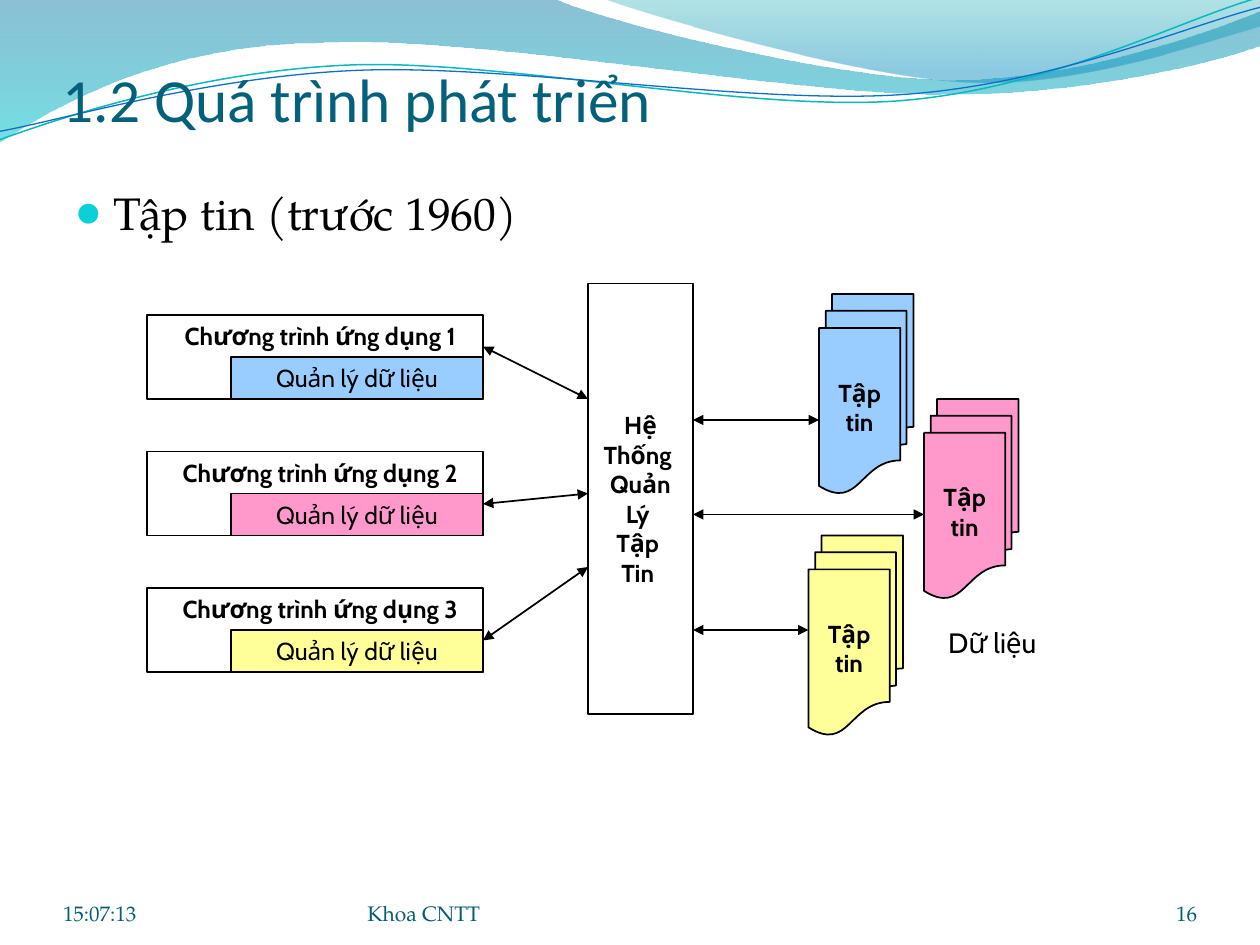
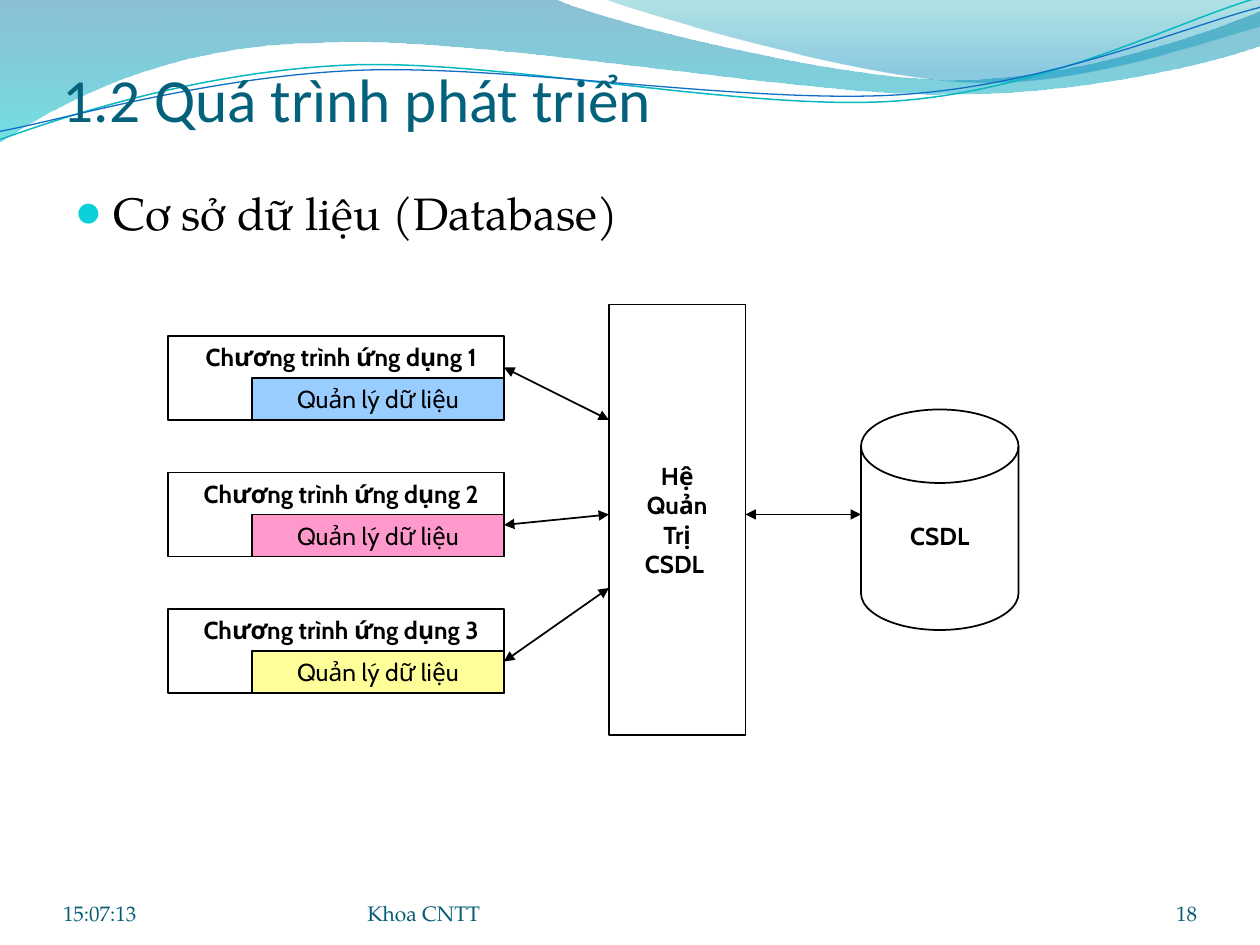
from dataclasses import dataclass
from math import cos, radians, sin
from typing import NamedTuple

from lxml.etree import SubElement
from pptx import Presentation
from pptx.dml.color import RGBColor as Rgb
from pptx.enum.shapes import MSO_CONNECTOR as Link, MSO_SHAPE as Kind
from pptx.enum.text import MSO_ANCHOR as Anchor, PP_ALIGN as Align
from pptx.oxml.ns import qn
from pptx.util import Pt

PX = 7620
TILT = 2.7
HUES = {
    "black": "000000", "title": "04617B", "foot": "045D75", "dot": "0BD0D9",
    "blue": "99CCFF", "pink": "FF99CC", "yellow": "FFFF99",
    "deep": "0074A1", "cyan": "00C6CF", "teal": "00A1A9", "sky": "008BBF",
    "aqua": "0AB8BF", "navy": "0F6FC6",
}
TINTS = ("blue", "pink", "yellow")


class Box(NamedTuple):
    x: int
    y: int
    w: int
    h: int


class Type(NamedTuple):
    face: str
    size: int
    hue: str = "black"
    bold: bool = False


class Stop(NamedTuple):
    hue: str
    place: float
    alpha: int


class Arrow(NamedTuple):
    x: int
    y: int
    end_x: int
    end_y: int


@dataclass(frozen=True)
class Wave:
    start: tuple
    steps: tuple
    stops: tuple = ()
    hue: str = ""
    width: float = 0
    pivot: tuple = ()


@dataclass(frozen=True)
class Page:
    number: str
    topic: str
    x: int
    y: int
    wide: int
    hub: str


HEAD = Type("Calibri", 35, "title")
BODY = Type("TeX Gyre Pagella", 26)
FOOT = Type("TeX Gyre Pagella", 12, "foot")
BOLD = Type("Cabin", 14, bold=True)
PLAIN = Type("Cabin", 14)
NOTE = Type("Cabin", 16)

WAVES = (
    Wave((0, -1), (
        ((528, -1),),
        ((571, 20), (797, 76), (910, 76)),
        ((1024, 76), (1150, 31), (1200, 11)),
        ((1201, 43),),
        ((1180, 53), (1044, 91), (895, 90)),
        ((746, 90), (458, 34), (308, 41)),
        ((155, 42), (55, 100), (-1, 136)),
        ((0, -1),),
    ), stops=(Stop("deep", 0, 45), Stop("cyan", 1, 55))),
    Wave((575, -1), (
        ((611, 13), (818, 74), (923, 78)),
        ((1027, 83), (1153, 38), (1200, 25)),
        ((1200, 0),),
        ((575, -1),),
    ), stops=(Stop("teal", 0, 30), Stop("sky", 0.8, 45))),
    Wave((0, 133), (
        ((58, 112), (190, 68), (332, 62)),
        ((474, 56), (712, 107), (856, 96)),
        ((1000, 85), (1126, 18), (1198, -2)),
    ), hue="aqua", width=0.85, pivot=(599, 69)),
    Wave((0, 125), (
        ((56, 115), (197, 73), (340, 67)),
        ((484, 61), (716, 100), (860, 90)),
        ((1003, 80), (1129, 25), (1200, 7)),
    ), hue="navy", width=0.75, pivot=(599, 71)),
)
PAGES = (
    Page("16", "Tập tin (trước 1960)", 140, 300, 100,
         "Hệ\nThống \nQuản\nLý \nTập \nTin "),
    Page("18", "Cơ sở dữ liệu (Database)", 160, 320, 130,
         "Hệ\nQuản\nTrị\nCSDL "),
)


def tone(name: str) -> Rgb:
    return Rgb.from_string(HUES[name])


def emu(box: tuple) -> list[int]:
    return [round(value * PX) for value in box]


def write(shape, text: str, style: Type, align=Align.LEFT,
          anchor=Anchor.TOP, wrap: bool = True) -> None:
    frame = shape.text_frame
    frame.text = text
    frame.word_wrap = wrap
    frame.vertical_anchor = anchor
    for para in frame.paragraphs:
        para.alignment = align
        font = para.font
        font.name, font.size, font.bold = style.face, Pt(style.size), style.bold
        font.color.rgb = tone(style.hue)


def label(slide, box: Box, text: str, style: Type, align=Align.CENTER,
          anchor=Anchor.TOP):
    shape = slide.shapes.add_textbox(*emu(box))
    write(shape, text, style, align, anchor)
    return shape


def flush(shape, top: int = 0) -> None:
    frame = shape.text_frame
    frame.margin_left = frame.margin_right = frame.margin_bottom = 0
    frame.margin_top = top * PX


def block(slide, kind, box: Box, fill: str = "", text: str = "",
          style: Type = BOLD) -> None:
    shape = slide.shapes.add_shape(kind, *emu(box))
    shape.shadow.inherit = False
    if fill:
        shape.fill.solid()
        shape.fill.fore_color.rgb = tone(fill)
    else:
        shape.fill.background()
    shape.line.color.rgb = tone("black")
    shape.line.width = Pt(1)
    if text:
        write(shape, text, style, Align.CENTER, Anchor.MIDDLE, False)


def arrow(slide, ends: Arrow) -> None:
    link = slide.shapes.add_connector(Link.STRAIGHT, *emu(ends))
    link.line.color.rgb = tone("black")
    link.line.width = Pt(1)
    line = link.line._get_or_add_ln()
    for tag in ("a:headEnd", "a:tailEnd"):
        SubElement(line, qn(tag), type="triangle")
    SubElement(link._element.spPr, qn("a:effectLst"))


def level(point: tuple, pivot: tuple) -> tuple:
    if not pivot:
        return point
    x, y = point[0] - pivot[0], point[1] - pivot[1]
    c, s = cos(radians(TILT)), sin(radians(TILT))
    return pivot[0] + x * c - y * s, pivot[1] + x * s + y * c


def bend(shape, steps: tuple) -> None:
    lines = shape._element.spPr.iter(qn("a:lnTo"))
    lines = iter(list(lines))
    for step in steps:
        group = [next(lines) for _ in step]
        if len(group) == 1:
            continue
        curve = group[0].makeelement(qn("a:cubicBezTo"))
        group[0].addprevious(curve)
        for line in group:
            curve.append(line[0])
            line.getparent().remove(line)


def ripple(slide, wave: Wave) -> None:
    spots = (wave.start, *(spot for step in wave.steps for spot in step))
    first, *rest = [emu(level(spot, wave.pivot)) for spot in spots]
    path = slide.shapes.build_freeform(*first)
    path.add_line_segments(rest, close=bool(wave.stops))
    shape = path.convert_to_shape()
    bend(shape, wave.steps)
    shape.shadow.inherit = False
    if not wave.stops:
        shape.rotation = 360 - TILT
        shape.fill.background()
        shape.line.color.rgb = tone(wave.hue)
        shape.line.width = Pt(wave.width)
        return
    shape.fill.gradient()
    shape.fill.gradient_angle = 270
    for mark, stop in zip(shape.fill.gradient_stops, wave.stops):
        mark.color.rgb = tone(stop.hue)
        mark.position = stop.place
    for node, stop in zip(shape._element.spPr.iter(qn("a:srgbClr")), wave.stops):
        SubElement(node, qn("a:alpha"), val=str(stop.alpha * 1000))
    shape.line.fill.background()


def bullet(para) -> None:
    props = para._p.get_or_add_pPr()
    props.set("marL", str(36 * PX))
    props.set("indent", str(-36 * PX))
    color = props.makeelement(qn("a:buClr"))
    SubElement(color, qn("a:srgbClr"), val=HUES["dot"])
    size = props.makeelement(qn("a:buSzPct"), val="95000")
    face = props.makeelement(qn("a:buFont"), typeface="Calibri")
    mark = props.makeelement(qn("a:buChar"), char="●")
    for place, node in enumerate((color, size, face, mark)):
        props.insert(place, node)


def frame(deck, page: Page):
    slide = deck.slides.add_slide(deck.slide_layouts[6])
    for wave in WAVES:
        ripple(slide, wave)
    title = label(slide, Box(60, 46, 1080, 82), "1.2 Quá trình phát triển",
                  HEAD, Align.LEFT, Anchor.BOTTOM)
    flush(title, 6)
    body = label(slide, Box(60, 170, 1080, 635), page.topic, BODY, Align.LEFT)
    bullet(body.text_frame.paragraphs[0])
    for x, wide, text, align in (
        (60, 280, "15:07:13", Align.LEFT),
        (350, 440, "Khoa CNTT", Align.LEFT),
        (1040, 100, page.number, Align.RIGHT),
    ):
        flush(label(slide, Box(x, 834, wide, 48), text, FOOT, align, Anchor.BOTTOM))
    return slide


def apps(slide, page: Page) -> None:
    x, top = page.x, page.y
    block(slide, Kind.RECTANGLE, Box(x + 420, top - 30, page.wide, 410),
          text=page.hub)
    for order, tint in enumerate(TINTS):
        y = top + 130 * order
        block(slide, Kind.RECTANGLE, Box(x, y, 320, 80))
        label(slide, Box(x, y, 330, 40), f"Chương trình ứng dụng {order + 1}", BOLD)
        block(slide, Kind.RECTANGLE, Box(x + 80, y + 40, 240, 40), tint,
              "Quản lý dữ liệu", PLAIN)
    for start, end in ((30, 80), (180, 170), (310, 240)):
        arrow(slide, Arrow(x + 320, top + start, x + 420, top + end))


def files(slide) -> None:
    for tint, x, y, mid in (("pink", 880, 380, 490), ("blue", 780, 280, 400),
                            ("yellow", 770, 510, 600)):
        block(slide, Kind.FLOWCHART_MULTIDOCUMENT, Box(x, y, 90, 190), tint,
              "Tập\ntin")
        arrow(slide, Arrow(660, mid, x, mid))
    label(slide, Box(880, 590, 130, 44), "Dữ liệu", NOTE)


def store(slide) -> None:
    arrow(slide, Arrow(710, 490, 820, 490))
    block(slide, Kind.FLOWCHART_MAGNETIC_DISK, Box(820, 390, 150, 210))
    label(slide, Box(820, 490, 150, 40), "CSDL", BOLD)


def main() -> None:
    deck = Presentation()
    deck.slide_width, deck.slide_height = emu((1200, 900))
    for page, draw in zip(PAGES, (files, store)):
        slide = frame(deck, page)
        apps(slide, page)
        draw(slide)
    deck.save("out.pptx")


if __name__ == "__main__":
    main()
